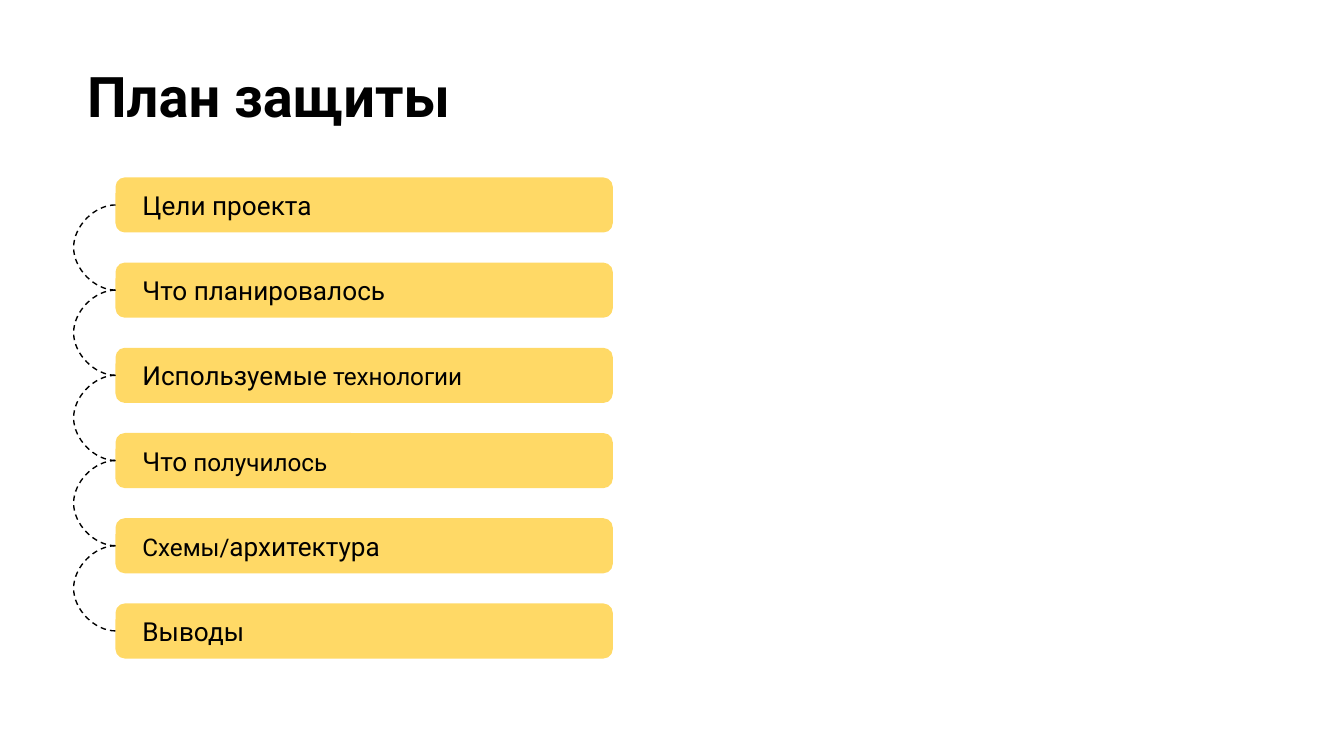
from lxml import etree
from pptx import Presentation
from pptx.dml.color import RGBColor
from pptx.enum.dml import MSO_LINE
from pptx.enum.shapes import MSO_CONNECTOR, MSO_SHAPE
from pptx.enum.text import MSO_ANCHOR, PP_ALIGN
from pptx.oxml.ns import qn
from pptx.util import Emu, Inches, Pt

TITLE = "План защиты"
STEPS = [
    [("Цели проекта", 14)],
    [("Что планировалось", 14)],
    [("Используемые", 14), (" технологии", 13)],
    [("Что", 14), (" получилось", 13)],
    [("Схемы/", 13), ("архитектура", 14)],
    [("Выводы", 14)],
]

FONT = "Roboto"
BLACK = RGBColor(0x00, 0x00, 0x00)
YELLOW = RGBColor(0xFF, 0xD9, 0x66)

BAR_LEFT, BAR_WIDTH, BAR_HEIGHT = 0.86, 3.7, 0.41
FIRST_TOP, LAST_TOP = 1.32, 4.49
PITCH = (LAST_TOP - FIRST_TOP) / (len(STEPS) - 1)
LEFT_SITE = 1
ARC_BASE = Emu(600)
ARC_BULGE = Inches(0.26)


def add_span(para, text, size, bold=False):
    span = para.add_run()
    span.text = text
    span.font.name = FONT
    span.font.size = Pt(size)
    span.font.bold = bold
    span.font.color.rgb = BLACK


def set_frame(frame, side, anchor):
    frame.word_wrap = True
    frame.vertical_anchor = anchor
    frame.margin_left = frame.margin_right = Inches(side)
    frame.margin_top = frame.margin_bottom = Inches(0.1)


def add_bar(page, index, spans):
    bar = page.shapes.add_shape(
        MSO_SHAPE.ROUNDED_RECTANGLE, Inches(BAR_LEFT),
        Inches(FIRST_TOP + index * PITCH), Inches(BAR_WIDTH), Inches(BAR_HEIGHT))
    bar.adjustments[0] = 0.17
    bar.shadow.inherit = False
    bar.fill.solid()
    bar.fill.fore_color.rgb = YELLOW
    bar.line.fill.background()
    set_frame(bar.text_frame, 0.18, MSO_ANCHOR.MIDDLE)
    para = bar.text_frame.paragraphs[0]
    para.alignment = PP_ALIGN.LEFT
    for text, size in spans:
        add_span(para, text, size)
    return bar


def add_arc(page, upper, lower):
    arc = page.shapes.add_connector(
        MSO_CONNECTOR.CURVE, upper.left, upper.top, lower.left, lower.top)
    arc.begin_connect(upper, LEFT_SITE)
    arc.end_connect(lower, LEFT_SITE)
    arc.width = ARC_BASE
    arc.line.color.rgb = BLACK
    arc.line.width = Pt(0.75)
    arc.line.dash_style = MSO_LINE.DASH
    properties = arc.element.spPr
    guides = properties.find(qn("a:prstGeom")).find(qn("a:avLst"))
    bulge = -round(ARC_BULGE / ARC_BASE * 100000)
    etree.SubElement(guides, qn("a:gd"), name="adj1", fmla=f"val {bulge}")
    etree.SubElement(properties, qn("a:effectLst"))


deck = Presentation()
deck.slide_width = Inches(10)
deck.slide_height = deck.slide_width * 9 // 16
page = deck.slides.add_slide(deck.slide_layouts[6])

title = page.shapes.add_textbox(Inches(0.55), Inches(0.36), Inches(9.32), Inches(1.2))
set_frame(title.text_frame, 0.1, MSO_ANCHOR.TOP)
add_span(title.text_frame.paragraphs[0], TITLE, 30, bold=True)

bars = [add_bar(page, index, spans) for index, spans in enumerate(STEPS)]
for upper, lower in zip(bars, bars[1:]):
    add_arc(page, upper, lower)

deck.save("out.pptx")
